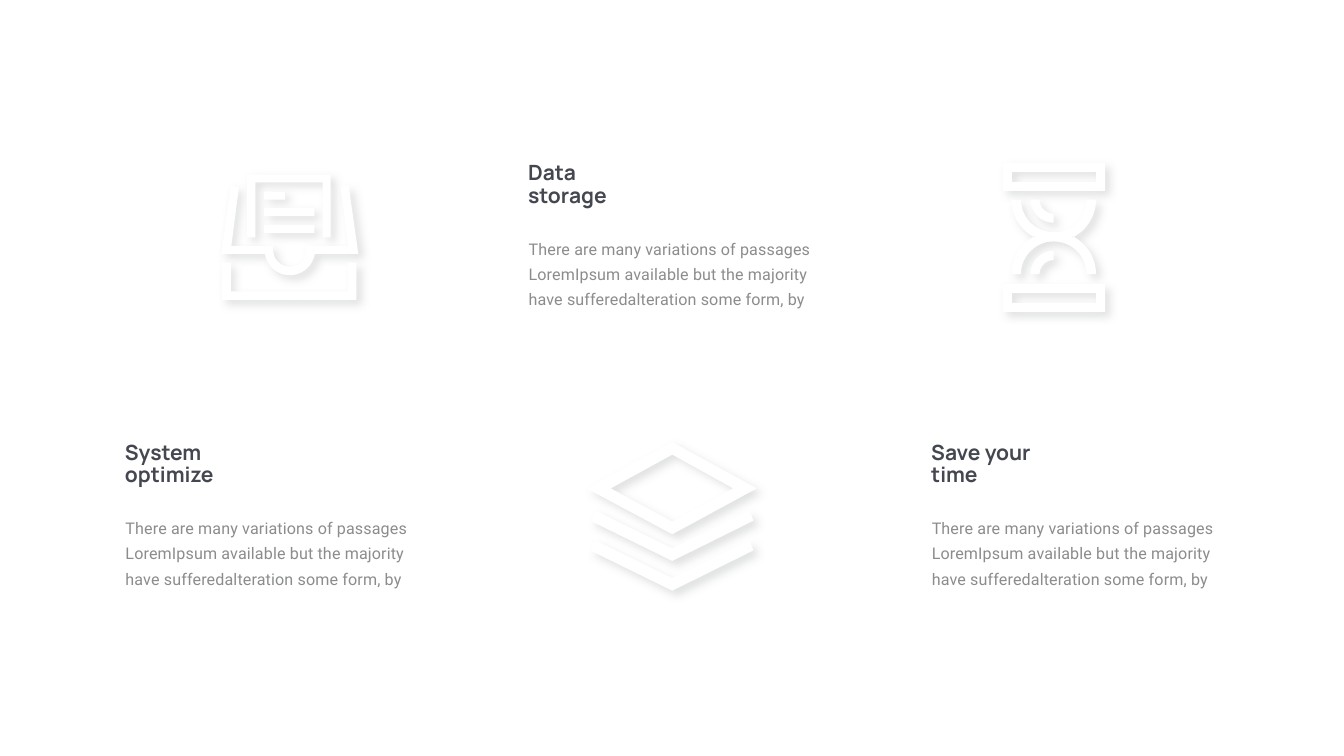
from dataclasses import dataclass
from math import cos, radians, sin

from pptx import Presentation
from pptx.dml.color import RGBColor
from pptx.enum.text import MSO_ANCHOR as Anchor
from pptx.oxml import parse_xml
from pptx.oxml.ns import nsdecls, qn
from pptx.util import Inches, Pt


@dataclass(frozen=True)
class Theme:
    """Colours, fonts and type sizes of the slide."""
    heading_color: str = "44474F"
    body_color: str = "8B8C8C"
    icon_color: str = "FFFFFF"
    shadow_color: str = "A6AAA9"
    heading_font: str = "Manrope"
    body_font: str = "Roboto"
    heading_size: int = 30
    body_size: int = 23


def add_text(text, *, left, top, width, height, font, size, color,
             bold=False, spacing=1.0, tracking=0, anchor=Anchor.TOP):
    """Add a text box with one paragraph for each line of text."""
    box = page.shapes.add_textbox(
        Inches(left), Inches(top), Inches(width), Inches(height))
    frame = box.text_frame
    frame.word_wrap = True
    frame.vertical_anchor = anchor
    frame.margin_left = frame.margin_right = Inches(0.06)
    frame.margin_top = frame.margin_bottom = Inches(0.06)
    frame.text = text
    for para in frame.paragraphs:
        para.line_spacing = spacing
        for span in para.runs:
            span.font.name = font
            span.font.size = Pt(size)
            span.font.bold = bold
            span.font.color.rgb = RGBColor.from_string(color)
            if tracking:
                span._r.get_or_add_rPr().set("spc", str(tracking))


def arc(x, y, radius, start, end, steps=24):
    """Return points along an arc, with angles in degrees clockwise from the right."""
    angles = [radians(start + (end - start) * i / steps) for i in range(steps + 1)]
    return [(x + radius * cos(a), y + radius * sin(a)) for a in angles]


theme = Theme()
deck = Presentation()
deck.slide_width, deck.slide_height = Inches(26.67), Inches(15)
page = deck.slides.add_slide(deck.slide_layouts[6])

# Text columns: heading, left, top, heading width
columns = [
    ("Data storage", 10.42, 3.37, 2.69),
    ("Save your time", 18.42, 8.92, 3.06),
    ("System optimize", 2.42, 8.92, 3.42),
]
body_text = "\n".join([
    "There are many variations of passages",
    "LoremIpsum available but the majority",
    "have sufferedalteration some form, by",
])
for heading, left, top, width in columns:
    add_text(heading, left=left, top=top, width=width, height=0.6,
             font=theme.heading_font, size=theme.heading_size,
             color=theme.heading_color, bold=True, spacing=0.9,
             anchor=Anchor.MIDDLE)
    add_text(body_text, left=left + 0.01, top=top + 1.2, width=5.81, height=1.46,
             font=theme.body_font, size=theme.body_size,
             color=theme.body_color, spacing=1.3, tracking=20)

# Stacked layers: a hollow rhombus above two chevrons
layers = [
    [(13.34, 8.77), (11.64, 9.69), (13.34, 10.6), (15.02, 9.69)],
    [(13.34, 9.02), (14.55, 9.69), (13.34, 10.35), (12.12, 9.69)],
]
for top in (10.13, 10.72):
    layers.append([(11.81, top), (11.71, top + 0.2), (13.34, top + 1),
                   (14.95, top + 0.2), (14.87, top), (13.34, top + 0.75)])

# Document tray: page outline, tray with a round dip, base, text bars
tray = [
    [(4.9, 3.46), (4.9, 4.71), (5.07, 4.71), (5.07, 3.62),
     (6.4, 3.62), (6.4, 4.71), (6.56, 4.71), (6.56, 3.46)],
    [(4.58, 3.69), (4.39, 5.04), *arc(5.75, 4.96, 0.5, 171, 9),
     (7.11, 5.04), (6.92, 3.69), (6.76, 3.72), (6.91, 4.88), (6.08, 4.88),
     *arc(5.75, 4.96, 0.33, 0, 180), (5.42, 4.88), (4.59, 4.88), (4.74, 3.72)],
    [(4.41, 5.21), (4.41, 5.95), (7.07, 5.95), (7.07, 5.21),
     (6.9, 5.21), (6.9, 5.78), (4.58, 5.78), (4.58, 5.21)],
]
for top, right in ((3.8, 5.66), (4.13, 6.24), (4.46, 6.24)):
    tray.append([(5.24, top), (5.24, top + 0.16), (right, top + 0.16), (right, top)])

# Hourglass: two bulbs on one axis, between two hollow bars
axis, upper, lower = 20.91, 3.96, 5.44
hourglass = [
    [*arc(axis, upper, 0.84, 180, 116), *arc(axis, lower, 0.84, 244, 180),
     *arc(axis, lower, 0.65, 180, 360), *arc(axis, lower, 0.84, 360, 296),
     *arc(axis, upper, 0.84, 64, 0), *arc(axis, upper, 0.65, 0, 180)],
    [*arc(axis, upper, 0.46, 180, 90), *arc(axis, upper, 0.28, 90, 180)],
    [*arc(axis, lower, 0.46, 270, 180), *arc(axis, lower, 0.28, 180, 270)],
]
for top in (3.23, 5.63):
    for inset in (0, 0.18):
        left, right = 19.9 + inset, 21.93 - inset
        high, low = top + inset, top + 0.56 - inset
        hourglass.append([(left, high), (left, low), (right, low), (right, high)])

for outlines in (layers, tray, hourglass):
    contours = [[(Inches(x), Inches(y)) for x, y in outline] for outline in outlines]
    builder = page.shapes.build_freeform(*contours[0][0])
    for contour in contours:
        if contour is not contours[0]:
            builder.move_to(*contour[0])
        builder.add_line_segments(contour[1:], close=True)
    icon = builder.convert_to_shape()
    icon.fill.solid()
    icon.fill.fore_color.rgb = RGBColor.from_string(theme.icon_color)
    icon.line.fill.background()
    icon.shadow.inherit = False
    icon._element.spPr.find(qn("a:effectLst")).append(parse_xml(
        f'<a:outerShdw {nsdecls("a")} blurRad="{Pt(13)}" dist="{Pt(9.5)}" '
        f'dir="2700000" algn="ctr" rotWithShape="0">'
        f'<a:srgbClr val="{theme.shadow_color}"><a:alpha val="34000"/></a:srgbClr>'
        f'</a:outerShdw>'))

deck.save("out.pptx")
